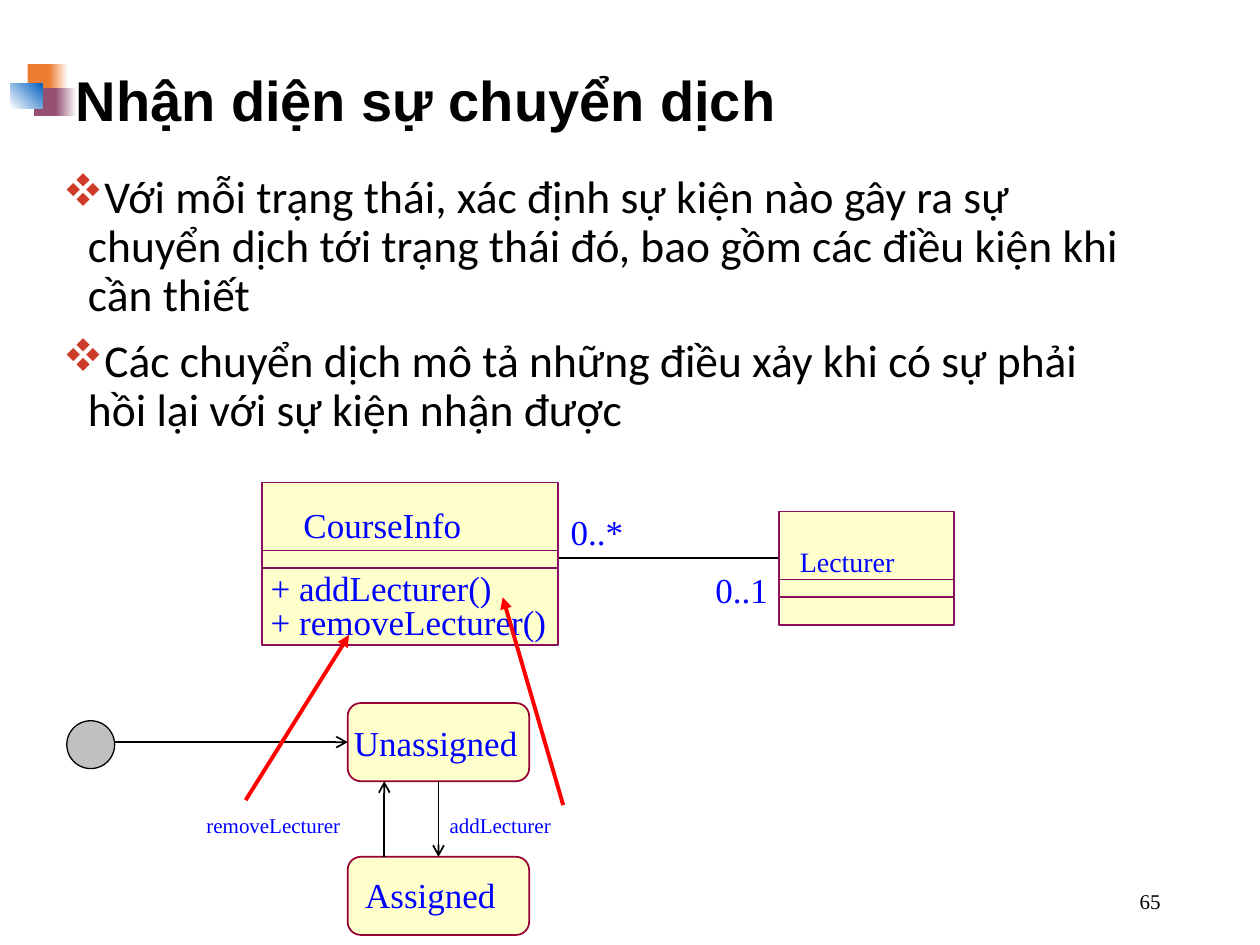
from dataclasses import dataclass
from typing import Optional

import lxml.etree
import pptx
import pptx.dml.color
import pptx.enum.shapes
import pptx.enum.text
import pptx.oxml.ns
import pptx.util

Inches = pptx.util.Inches
Pt = pptx.util.Pt
Preset = pptx.enum.shapes.MSO_SHAPE
Anchor = pptx.enum.text.MSO_ANCHOR
Align = pptx.enum.text.PP_ALIGN
qn = pptx.oxml.ns.qn

COLORS = {
    "black": "000000", "white": "FFFFFF", "orange": "ED7D31", "plum": "954F72",
    "sky": "0563C1", "bullet": "CE3B29", "label": "0000FF", "cream": "FFFFCC",
    "class": "8A0E5E", "state": "990033", "start": "C0C0C0", "callout": "FF0000",
}
SERIF = "Times New Roman"


@dataclass
class Box:
    left: float
    top: float
    width: float
    height: float
    fill: str
    outline: Optional[str] = None
    preset: int = Preset.RECTANGLE
    fade_to: Optional[str] = None
    angle: float = 0
    weight: float = 1


@dataclass
class Line:
    x1: float
    y1: float
    x2: float
    y2: float
    color: str = "black"
    weight: float = 1
    head: Optional[str] = None


@dataclass
class Label:
    text: str
    left: float
    top: float
    width: float
    height: float = 0.44
    size: float = 20
    color: str = "label"
    wrap: bool = True
    align: int = Align.LEFT
    anchor: int = Anchor.TOP


def rgb(name: str):
    return pptx.dml.color.RGBColor.from_string(COLORS[name])


def set_all(target, values: dict) -> None:
    for name, value in values.items():
        setattr(target, name, value)


def style_font(font, name: str, size: float, color: str, bold: bool = False) -> None:
    set_all(font, {"name": name, "size": Pt(size), "bold": bold})
    font.color.rgb = rgb(color)


def add_box(slide, box: Box):
    shape = slide.shapes.add_shape(
        box.preset, Inches(box.left), Inches(box.top), Inches(box.width), Inches(box.height))
    shape.shadow.inherit = False
    if box.fade_to:
        shape.fill.gradient()
        shape.fill.gradient_angle = box.angle
        for stop, color, position in zip(shape.fill.gradient_stops, (box.fill, box.fade_to), (0, 1)):
            stop.color.rgb = rgb(color)
            stop.position = position
    else:
        shape.fill.solid()
        shape.fill.fore_color.rgb = rgb(box.fill)
    if box.outline:
        shape.line.color.rgb = rgb(box.outline)
        shape.line.width = Pt(box.weight)
    else:
        shape.line.fill.background()
    return shape


def add_line(slide, line: Line):
    connector = slide.shapes.add_connector(
        pptx.enum.shapes.MSO_CONNECTOR.STRAIGHT,
        Inches(line.x1), Inches(line.y1), Inches(line.x2), Inches(line.y2))
    connector.line.color.rgb = rgb(line.color)
    connector.line.width = Pt(line.weight)
    properties = connector._element.spPr
    if line.head:
        lxml.etree.SubElement(properties.find(qn("a:ln")), qn("a:tailEnd"), type=line.head)
    lxml.etree.SubElement(properties, qn("a:effectLst"))
    return connector


def add_label(slide, label: Label) -> None:
    textbox = slide.shapes.add_textbox(
        Inches(label.left), Inches(label.top), Inches(label.width), Inches(label.height))
    set_all(textbox.text_frame, {
        "word_wrap": label.wrap, "vertical_anchor": label.anchor, "text": label.text})
    paragraph = textbox.text_frame.paragraphs[0]
    paragraph.alignment = label.align
    style_font(paragraph.runs[0].font, SERIF, label.size, label.color)


def add_class(slide, box: Box, dividers: tuple) -> None:
    add_box(slide, box)
    for y in dividers:
        add_line(slide, Line(box.left + 0.01, y, box.left + box.width, y, "class"))


def add_title(slide, text: str) -> None:
    title = slide.shapes.title
    set_all(title, {"left": Inches(0.5), "top": Inches(0.3),
                    "width": Inches(9), "height": Inches(1.04)})
    set_all(title.text_frame, {"text": text, "vertical_anchor": Anchor.MIDDLE, "word_wrap": True})
    paragraph = title.text_frame.paragraphs[0]
    set_all(paragraph, {"alignment": Align.LEFT, "line_spacing": 0.9})
    style_font(paragraph.runs[0].font, "Arial", 32, "black", True)


def add_bullets(slide, points: list) -> None:
    frame = slide.shapes.add_textbox(Inches(0.4), Inches(1.33), Inches(8.7), Inches(2.4)).text_frame
    frame.word_wrap = True
    for index, point in enumerate(points):
        paragraph = frame.add_paragraph() if index else frame.paragraphs[0]
        properties = paragraph._p.get_or_add_pPr()
        properties.set("marL", str(Inches(0.2)))
        properties.set("indent", str(Inches(-0.2)))
        bullet_color = lxml.etree.SubElement(properties, qn("a:buClr"))
        lxml.etree.SubElement(bullet_color, qn("a:srgbClr"), val=COLORS["bullet"])
        lxml.etree.SubElement(properties, qn("a:buFont"), typeface="Wingdings", charset="2")
        lxml.etree.SubElement(properties, qn("a:buChar"), char="v")
        set_all(paragraph, {"line_spacing": 0.9, "space_before": Pt(10 if index else 0)})
        run = paragraph.add_run()
        run.text = point
        style_font(run.font, "Calibri", 26, "black")


def main() -> None:
    deck = pptx.Presentation()
    set_all(deck, {"slide_width": Inches(10), "slide_height": Inches(7.5)})
    slide = deck.slides.add_slide(deck.slide_layouts[5])

    for tile in (
        Box(0.22, 0.51, 0.2, 0.22, "orange"),
        Box(0.39, 0.51, 0.15, 0.22, "orange", fade_to="white"),
        Box(0.27, 0.7, 0.19, 0.22, "plum"),
        Box(0.44, 0.7, 0.17, 0.22, "plum", fade_to="white"),
        Box(0.08, 0.66, 0.26, 0.2, "white", fade_to="sky", angle=45),
    ):
        add_box(slide, tile)

    add_title(slide, "Nhận diện sự chuyển dịch")
    add_bullets(slide, [
        "Với mỗi trạng thái, xác định sự kiện nào gây ra sự chuyển dịch tới trạng thái đó, "
        "bao gồm các điều kiện khi cần thiết",
        "Các chuyển dịch mô tả những điều xảy khi có sự phải hồi lại với sự kiện nhận được",
    ])

    add_line(slide, Line(4.43, 4.43, 6.18, 4.43))
    add_class(slide, Box(2.08, 3.83, 2.35, 1.29, "cream", "class"), (4.37, 4.51))
    add_class(slide, Box(6.18, 4.06, 1.39, 0.9, "cream", "class"), (4.6, 4.74))

    unassigned, assigned = (
        add_box(slide, Box(2.76, top, 1.44, 0.62, "cream", "state", Preset.ROUNDED_RECTANGLE))
        for top in (5.58, 6.8))
    start_arrow = add_line(slide, Line(0.84, 5.89, 2.76, 5.89, head="arrow"))
    start_arrow.end_connect(unassigned, 1)
    add_box(slide, Box(0.53, 5.72, 0.38, 0.38, "start", "black", Preset.OVAL, weight=0.75))
    assign_arrow = add_line(slide, Line(3.48, 6.2, 3.48, 6.8, head="arrow"))
    assign_arrow.begin_connect(unassigned, 2)
    assign_arrow.end_connect(assigned, 0)
    add_line(slide, Line(3.05, 6.8, 3.05, 6.2, head="arrow"))

    for label in (
        Label("CourseInfo", 2.31, 3.95, 2.28),
        Label("+ addLecturer()", 2.05, 4.45, 2.37),
        Label("+ removeLecturer()", 2.05, 4.72, 2.54),
        Label("0..*", 4.43, 4, 0.62, wrap=False),
        Label("0..1", 5.58, 4.46, 0.62, wrap=False),
        Label("Lecturer", 6.25, 4.27, 1.3, 0.37, 16),
        Label("Assigned", 2.8, 6.88, 1.36),
        Label("Unassigned", 2.71, 5.68, 1.51),
        Label("removeLecturer", 1.54, 6.4, 1.53, 0.3, 12),
        Label("addLecturer", 3.47, 6.4, 1.23, 0.3, 12),
        Label("65", 7.06, 6.95, 2.25, 0.4, 12, "black", align=Align.RIGHT, anchor=Anchor.MIDDLE),
    ):
        add_label(slide, label)

    for callout in ((4.47, 6.39, 3.99, 4.74), (1.95, 6.35, 2.77, 5.04)):
        add_line(slide, Line(*callout, color="callout", weight=2.25, head="triangle"))

    deck.save("out.pptx")


if __name__ == "__main__":
    main()
